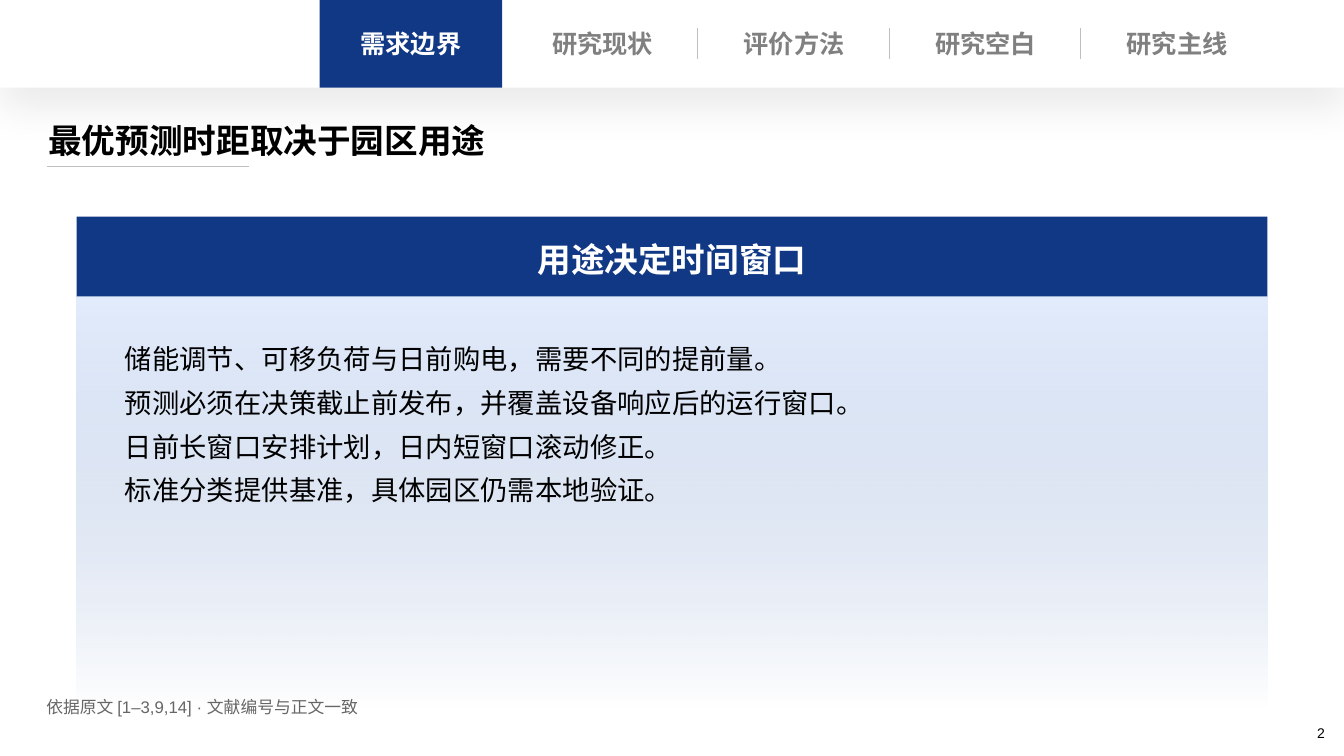
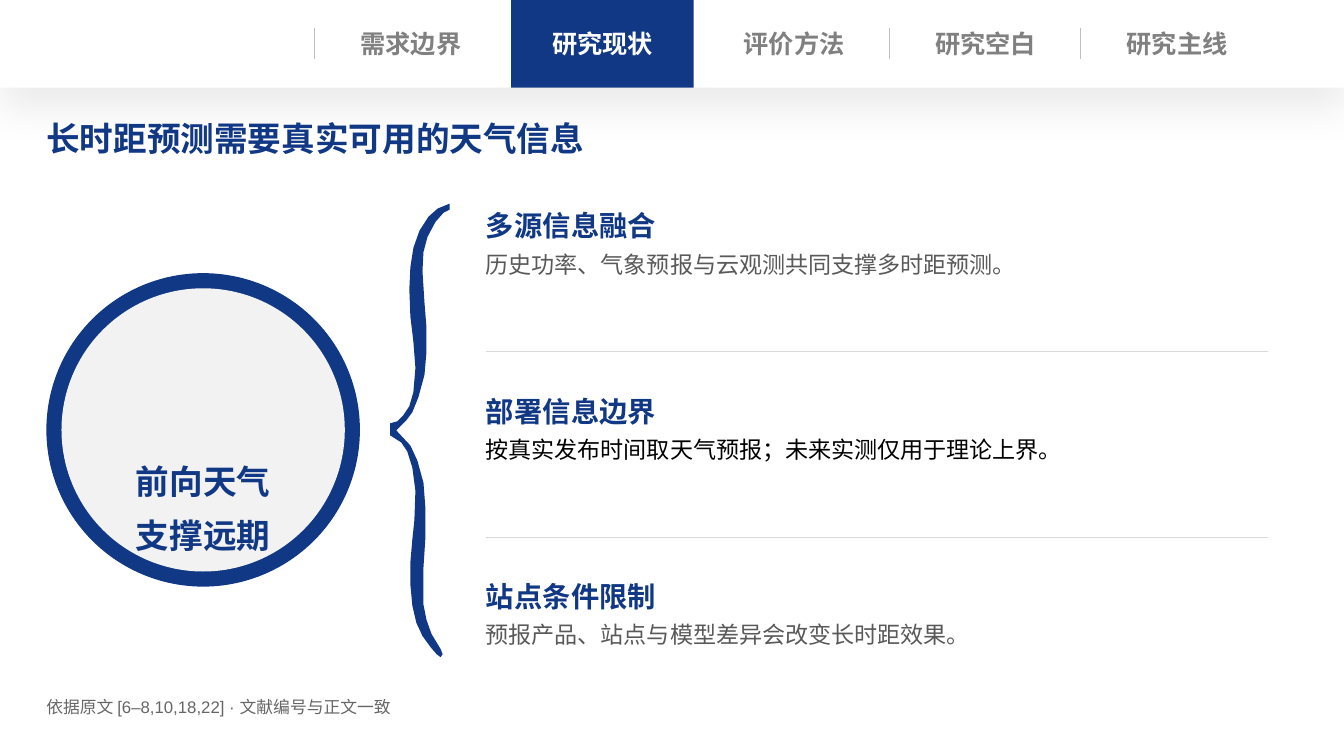
from collections import namedtuple

from lxml import etree
from pptx import Presentation
from pptx.dml.color import RGBColor
from pptx.enum.shapes import MSO_CONNECTOR, MSO_SHAPE
from pptx.enum.text import MSO_ANCHOR, PP_ALIGN
from pptx.oxml.ns import qn
from pptx.util import Inches, Pt

Box = namedtuple("Box", "left top width height")

FONT = "Arial"
NAVY, WHITE, BLACK = "113884", "FFFFFF", "000000"
TAB_GREY, RULE_GREY, DIVIDER_GREY = "808080", "BFBFBF", "D9D9D9"
BODY_GREY, SOURCE_GREY, DISC_GREY = "595959", "666666", "F2F2F2"

HEADER = Box(0, 0, 13.33, 0.87)
TABS = ["需求边界", "研究现状", "评价方法", "研究空白", "研究主线"]
FIRST_TAB, TAB_WIDTH, TAB_PITCH = 3.17, 1.81, 1.9

# Outline of the brace, in inches from its top left corner
BRACE_POINTS = [
    (0.59, 0.06), (0.59, 0), (0.47, 0.05), (0.38, 0.13), (0.29, 0.27),
    (0.23, 0.44), (0.2, 0.63), (0.19, 0.85), (0.2, 1.12), (0.23, 1.37),
    (0.25, 1.63), (0.23, 1.87), (0.19, 2.01), (0.13, 2.1), (0.07, 2.16),
    (0, 2.18), (0, 2.3), (0.11, 2.37), (0.17, 2.46), (0.22, 2.62),
    (0.25, 2.85), (0.24, 3.14), (0.22, 3.33), (0.2, 3.56), (0.2, 3.78),
    (0.22, 3.99), (0.26, 4.16), (0.32, 4.29), (0.4, 4.4), (0.46, 4.47),
    (0.5, 4.5), (0.52, 4.47), (0.5, 4.42), (0.47, 4.37), (0.41, 4.27),
    (0.36, 4.13), (0.33, 3.98), (0.33, 3.83), (0.33, 3.61), (0.35, 3.3),
    (0.35, 3.03), (0.33, 2.77), (0.27, 2.55), (0.2, 2.4), (0.06, 2.25),
    (0.16, 2.15), (0.22, 2.07), (0.28, 1.92), (0.34, 1.7), (0.36, 1.47),
    (0.36, 1.23), (0.34, 0.98), (0.32, 0.67), (0.33, 0.48), (0.37, 0.33),
    (0.45, 0.18), (0.53, 0.09),
]


def rgb(color):
    return RGBColor.from_string(color)


def paint(shape, color):
    """Give a shape a flat fill with neither outline nor shadow."""
    shape.shadow.inherit = False
    shape.fill.solid()
    shape.fill.fore_color.rgb = rgb(color)
    shape.line.fill.background()
    return shape


def add_block(page, box, color, preset=MSO_SHAPE.RECTANGLE):
    return paint(page.shapes.add_shape(preset, *map(Inches, box)), color)


def write(shape, text, size, color=BLACK, bold=False, align=PP_ALIGN.LEFT,
          inset=(0, 0), line_spacing=None):
    """Fill a shape with text, one paragraph a line; inset is left and top."""
    frame = shape.text_frame
    frame.word_wrap = True
    frame.vertical_anchor = MSO_ANCHOR.TOP
    frame.margin_left, frame.margin_top = map(Inches, inset)
    frame.margin_right = frame.margin_bottom = 0
    for index, line in enumerate(text.split("\n")):
        para = frame.add_paragraph() if index else frame.paragraphs[0]
        para.alignment = align
        if line_spacing:
            para.line_spacing = Pt(line_spacing)
        span = para.add_run()
        span.text = line
        span.font.name = FONT
        span.font.size = Pt(size)
        span.font.bold = bold
        span.font.color.rgb = rgb(color)


def add_text(page, box, text, size, **style):
    write(page.shapes.add_textbox(*map(Inches, box)), text, size, **style)


def add_rule(page, start, end, color):
    rule = page.shapes.add_connector(
        MSO_CONNECTOR.STRAIGHT, *map(Inches, (*start, *end)))
    rule.line.color.rgb = rgb(color)
    rule.line.width = Pt(0.75)
    etree.SubElement(rule._element.spPr, qn("a:effectLst"))


def add_alpha(color_element, percent):
    etree.SubElement(color_element, qn("a:alpha"), val=str(percent * 1000))


def add_soft_shadow(shape):
    effects = shape._element.spPr.find(qn("a:effectLst"))
    shadow = etree.SubElement(
        effects, qn("a:outerShdw"), blurRad=str(Pt(28)), dist=str(Pt(15)),
        dir="5400000", algn="t", rotWithShape="0")
    add_alpha(etree.SubElement(shadow, qn("a:srgbClr"), val=BLACK), 8)


def fade_down(shape, stops):
    """Fill from top to bottom with (colour, opacity percent) stops."""
    shape.fill.gradient()
    shape.fill.gradient_angle = 270
    for stop, (color, _) in zip(shape.fill.gradient_stops, stops):
        stop.color.rgb = rgb(color)
    gradient = shape._element.spPr.find(qn("a:gradFill"))
    for element, (_, opacity) in zip(gradient.iter(qn("a:srgbClr")), stops):
        add_alpha(element, opacity)


def add_header(page, box, active):
    """Draw the navigation bar with one tab highlighted."""
    add_soft_shadow(add_block(page, box, WHITE))
    for index, label in enumerate(TABS):
        left = box.left + FIRST_TAB + index * TAB_PITCH
        if index == active:
            add_block(page, Box(left, box.top, TAB_WIDTH, box.height), NAVY)
        elif index != active + 1:
            edge = left - 0.05
            add_rule(page, (edge, box.top + 0.28), (edge, box.top + 0.59),
                     RULE_GREY)
        add_text(page, Box(left, box.top + 0.23, TAB_WIDTH, 0.4), label, 18,
                 color=WHITE if index == active else TAB_GREY, bold=True,
                 align=PP_ALIGN.CENTER, inset=(0, 0.05))


def add_title(page, box, text, color):
    add_text(page, box, text, 24, color=color, bold=True)


def add_source(page, references):
    add_text(page, Box(0.46, 6.91, 4, 0.26),
             f"依据原文 [{references}] · 文献编号与正文一致", 12,
             color=SOURCE_GREY)


def add_panel(page, box, heading, body):
    """Draw a banner heading over a fading body panel."""
    banner_height = 0.79
    fade = add_block(page, Box(box.left, box.top + banner_height, box.width,
                               box.height - banner_height), WHITE)
    fade_down(fade, [("BAD1F7", 42), ("12469E", 0)])
    banner = add_block(page, box._replace(height=banner_height), NAVY)
    write(banner, heading, 24, color=WHITE, bold=True,
          align=PP_ALIGN.CENTER, inset=(0, 0.22))
    add_text(page, Box(box.left + 0.38, box.top + 1.08, box.width - 0.76, 2.32),
             body, 19.5, inset=(0.1, 0.06), line_spacing=31.2)


def add_ring(page, box, text):
    rim = 0.15
    add_block(page, box, NAVY, MSO_SHAPE.OVAL)
    disc = add_block(page, Box(box.left + rim, box.top + rim,
                               box.width - 2 * rim, box.height - 2 * rim),
                     DISC_GREY, MSO_SHAPE.OVAL)
    write(disc, text, 24, color=NAVY, bold=True, align=PP_ALIGN.CENTER,
          inset=(0, 1.17), line_spacing=38.4)


def add_brace(page, left, top):
    points = [(Inches(left + x), Inches(top + y)) for x, y in BRACE_POINTS]
    builder = page.shapes.build_freeform(*points[0])
    builder.add_line_segments(points[1:], close=True)
    paint(builder.convert_to_shape(), NAVY)


def add_findings(page, box, findings):
    """Stack headings with a sentence each, divided by thin rules."""
    pitch = 1.84
    for index, (heading, body, color) in enumerate(findings):
        top = box.top + index * pitch
        add_text(page, Box(box.left, top, box.width, 0.44), heading, 20.25,
                 color=NAVY, bold=True, inset=(0, 0.05))
        add_text(page, Box(box.left, top + 0.4, box.width, 0.4), body, 16.5,
                 color=color, inset=(0, 0.06))
        if index < len(findings) - 1:
            add_rule(page, (box.left, top + 1.47),
                     (box.left + box.width, top + 1.47), DIVIDER_GREY)


def add_page(deck):
    return deck.slides.add_slide(deck.slide_layouts[6])


def build_demand_page(deck):
    page = add_page(deck)
    add_header(page, HEADER, active=0)
    add_title(page, Box(0.48, 1.19, 12, 0.51), "最优预测时距取决于园区用途", BLACK)
    add_rule(page, (0.47, 1.65), (2.47, 1.65), RULE_GREY)
    add_panel(page, Box(0.76, 2.15, 11.81, 4.91), "用途决定时间窗口",
              "储能调节、可移负荷与日前购电，需要不同的提前量。\n"
              "预测必须在决策截止前发布，并覆盖设备响应后的运行窗口。\n"
              "日前长窗口安排计划，日内短窗口滚动修正。\n"
              "标准分类提供基准，具体园区仍需本地验证。")
    add_source(page, "1–3,9,14")
    add_text(page, Box(12.14, 7.07, 1, 0.4), "2", 10,
             align=PP_ALIGN.RIGHT, inset=(0, 0.12))


def build_weather_page(deck):
    page = add_page(deck)
    add_header(page, HEADER, active=1)
    add_title(page, Box(0.46, 1.17, 12, 0.51),
              "长时距预测需要真实可用的天气信息", NAVY)
    add_ring(page, Box(0.46, 2.71, 3.11, 3.11), "前向天气\n支撑远期")
    add_brace(page, 3.87, 2.02)
    add_findings(page, Box(4.82, 2.02, 7.76, 4.5), [
        ("多源信息融合", "历史功率、气象预报与云观测共同支撑多时距预测。", BODY_GREY),
        ("部署信息边界", "按真实发布时间取天气预报；未来实测仅用于理论上界。", BLACK),
        ("站点条件限制", "预报产品、站点与模型差异会改变长时距效果。", BODY_GREY),
    ])
    add_source(page, "6–8,10,18,22")


def main():
    deck = Presentation()
    deck.slide_width, deck.slide_height = Inches(13.33), Inches(7.5)
    build_demand_page(deck)
    build_weather_page(deck)
    deck.save("out.pptx")


if __name__ == "__main__":
    main()
